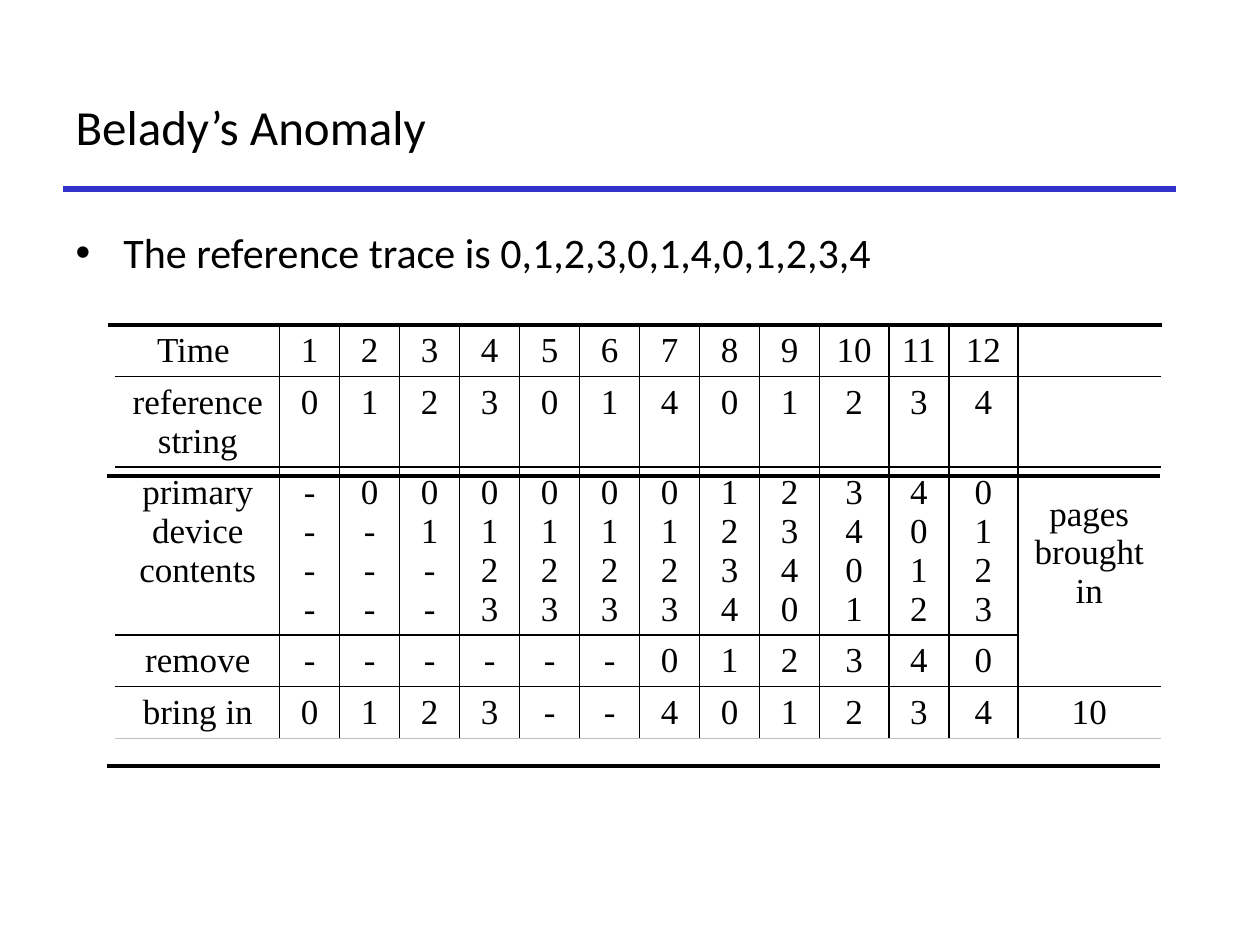
"""Build the Belady's Anomaly slide: a page replacement trace in a table."""
from lxml.etree import SubElement
from pptx import Presentation
from pptx.dml.color import RGBColor
from pptx.enum.shapes import MSO_CONNECTOR as CONN
from pptx.enum.text import MSO_ANCHOR as ANCHOR, MSO_AUTO_SIZE as FIT, PP_ALIGN as ALIGN
from pptx.oxml.ns import qn
from pptx.util import Inches, Pt

BLACK, WHITE, GRAY, BLUE = "000000", "FFFFFF", "C0C0C0", "3333CC"

LABELS = ["Time ", "reference\nstring", "primary\ndevice\ncontents", "remove", "bring in"]
TRACE = "012301401234"
FRAMES = "---- 0--- 01-- 0123 0123 0123 0123 1234 2340 3401 4012 0123".split()
REMOVED = "------012340"
BROUGHT_IN = "0123--401234"
SUMMARY = ["", "", "pages\nbrought\nin", None, "10"]


def color(value):
    return RGBColor.from_string(value)


class Deck:
    """Holds the style and the current slide."""

    heading = {"name": "Calibri", "size": Pt(28), "bold": False}
    bullet = {"name": "Calibri", "size": Pt(24), "bold": False}
    grid = {"name": "Times New Roman", "size": Pt(20), "bold": False}

    def __init__(self, prs):
        self.s = prs.slides.add_slide(prs.slide_layouts[1])

    def format(self, p, style, align):
        p.alignment = align
        for name, value in style.items():
            setattr(p.font, name, value)
        p.font.color.rgb = color(BLACK)

    def fill_placeholder(self, idx, text, box, style, anchor):
        sp = self.s.placeholders[idx]
        sp.left, sp.top, sp.width, sp.height = map(Inches, box)
        tf = sp.text_frame
        tf.text = text
        tf.auto_size, tf.vertical_anchor = FIT.NONE, anchor
        p = tf.paragraphs[0]
        p.space_before = Pt(0)
        self.format(p, style, ALIGN.LEFT)
        return p

    def title(self, text, box):
        self.fill_placeholder(0, text, box, self.heading, ANCHOR.MIDDLE)

    def body(self, text, box, indent):
        p = self.fill_placeholder(1, text, box, self.bullet, ANCHOR.TOP)
        pPr = p._p.get_or_add_pPr()
        pPr.set("marL", str(Inches(indent)))
        pPr.set("indent", str(-Inches(indent)))

    def rule(self, left, right, y, value, width):
        cn = self.s.shapes.add_connector(
            CONN.STRAIGHT, Inches(left), Inches(y), Inches(right), Inches(y))
        cn.line.color.rgb = color(value)
        cn.line.width = Pt(width)
        SubElement(cn._element.spPr, qn("a:effectLst"))

    def borders(self, cell, sides):
        tcPr = cell._tc.get_or_add_tcPr()
        for side, value in sides.items():
            ln = SubElement(tcPr, qn(f"a:ln{side}"), w=str(Pt(1)))
            fill = SubElement(ln, qn("a:solidFill"))
            SubElement(fill, qn("a:srgbClr"), val=value)

    def table(self, rows, left, top, widths, row_height):
        last_row, last_col = len(rows) - 1, len(widths) - 1
        tb = self.s.shapes.add_table(
            len(rows), len(widths), Inches(left), Inches(top),
            Inches(sum(widths)), Inches(row_height * len(rows))).table
        tb.first_row = tb.horz_banding = False
        for col, width in zip(tb.columns, widths):
            col.width = Inches(width)
        for i, row in enumerate(rows):
            tb.rows[i].height = Inches(row_height)
            for j, text in enumerate(row):
                cell = tb.cell(i, j)
                if text is not None:
                    self.borders(cell, {
                        "L": BLACK if j else WHITE,
                        "R": BLACK if j < last_col else WHITE,
                        "T": BLACK,
                        "B": BLACK if i < last_row else GRAY})
                    cell.text = text
                cell.fill.background()
                for p in cell.text_frame.paragraphs:
                    self.format(p, self.grid, ALIGN.CENTER)
        return tb


def main():
    prs = Presentation()
    prs.slide_width, prs.slide_height = Inches(10), Inches(7.5)
    deck = Deck(prs)
    deck.rule(0.5, 9.33, 1.5, BLUE, 3)
    deck.title("Belady’s Anomaly", (0.5, 0.5, 8.83, 1))
    deck.body("The reference trace is " + ",".join(TRACE), (0.5, 1.75, 9.08, 0.5), 0.38)

    times = [str(n) for n in range(1, len(TRACE) + 1)]
    steps = [times, TRACE, ["\n".join(f) for f in FRAMES], REMOVED, BROUGHT_IN]
    rows = [[label, *step, end] for label, step, end in zip(LABELS, steps, SUMMARY)]
    label_width, wide, end_width = 1.3, 0.55, 1.13
    narrow = (8.29 - label_width - 2 * wide - end_width) / 10
    widths = [label_width, *[wide if t in ("10", "12") else narrow for t in times], end_width]
    tb = deck.table(rows, 0.92, 2.58, widths, 0.41)
    pages = tb.cell(2, len(widths) - 1)
    pages.merge(tb.cell(3, len(widths) - 1))
    pages.margin_top = Inches(0.22)

    for left, y in ((0.86, 2.58), (0.85, 3.78), (0.85, 6.08)):
        deck.rule(left, left + 8.36, y, BLACK, 2.5)
    prs.save("out.pptx")


if __name__ == "__main__":
    main()
